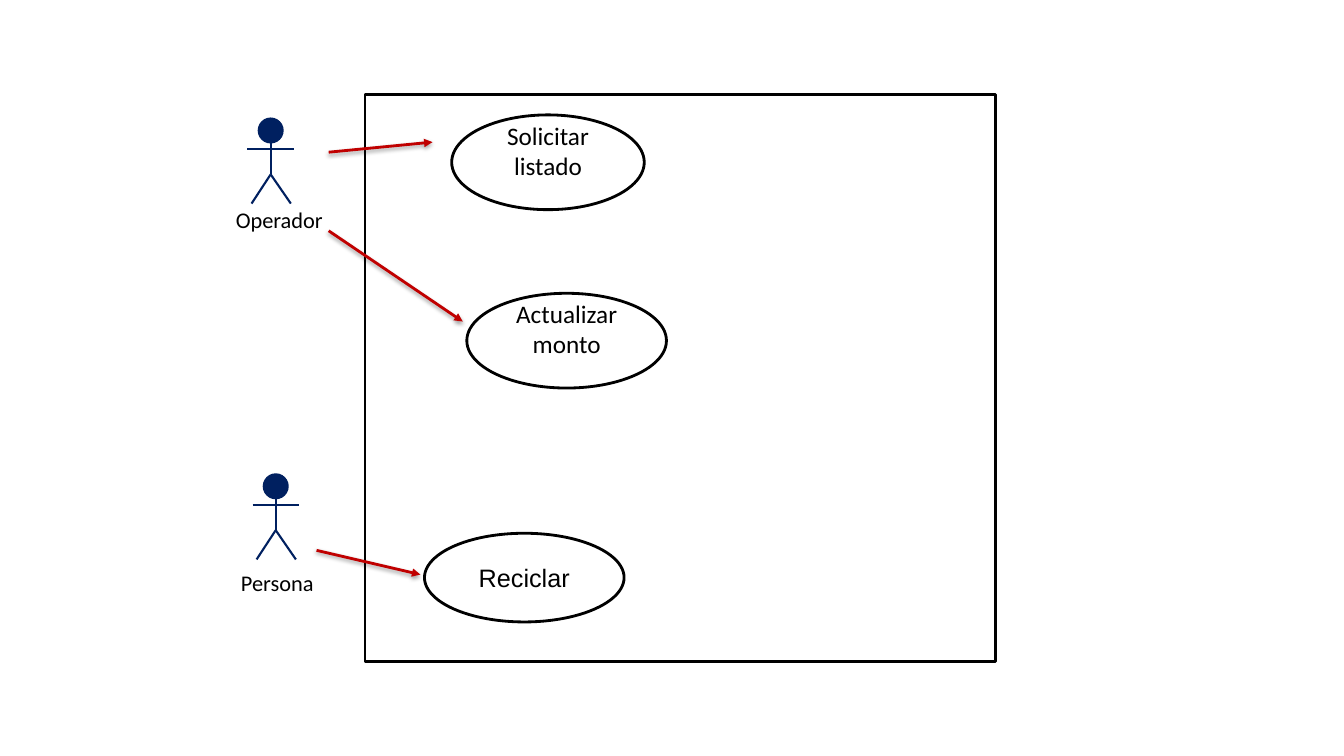
from dataclasses import dataclass

import pptx
import pptx.dml.color
import pptx.enum.shapes
import pptx.enum.text
import pptx.oxml
import pptx.oxml.ns
import pptx.util
from pptx.util import Inches

BLACK, WHITE, NAVY, RED = "000000", "FFFFFF", "002060", "C00000"
HEAD = 0.23
ARROW_SHADOW = (
    '<a:outerShdw blurRad="39370" dist="20320" dir="5400000" rotWithShape="0">'
    '<a:srgbClr val="000000"><a:alpha val="37000"/></a:srgbClr></a:outerShdw>'
)


@dataclass
class Actor:
    name: str
    head_left: float
    head_top: float
    label_left: float
    label_top: float
    label_width: float


@dataclass
class UseCase:
    name: str
    left: float
    top: float
    width: float
    height: float
    font: str = "Calibri"
    bottom_inset: float = 0.05


@dataclass
class Association:
    start: tuple[float, float]
    end: tuple[float, float]


ACTORS = [
    Actor("Persona", 2.62, 4.71, 2.06, 5.6, 1.38),
    Actor("Operador", 2.57, 1.18, 2.13, 2, 1.28),
]
USE_CASES = [
    UseCase("Actualizar monto", 4.63, 2.91, 1.98, 0.94, bottom_inset=0.29),
    UseCase("Reciclar", 4.21, 5.29, 1.98, 0.88, font="Arial"),
    UseCase("Solicitar listado", 4.48, 1.14, 1.91, 0.94, bottom_inset=0.29),
]
ASSOCIATIONS = [
    Association((3.14, 5.46), (4.17, 5.7)),
    Association((3.26, 1.51), (4.29, 1.41)),
    Association((3.26, 2.29), (4.59, 3.19)),
]


def rgb(value: str) -> pptx.dml.color.RGBColor:
    return pptx.dml.color.RGBColor.from_string(value)


def add_outlined(shapes, kind, left: float, top: float, width: float, height: float,
                 fill: str, line: str):
    shape = shapes.add_shape(kind, Inches(left), Inches(top), Inches(width), Inches(height))
    shape.shadow.inherit = False
    shape.fill.solid()
    shape.fill.fore_color.rgb = rgb(fill)
    shape.line.color.rgb = rgb(line)
    shape.line.width = pptx.util.Pt(2)
    return shape


def add_line(shapes, start: tuple[float, float], end: tuple[float, float],
             color: str, width: float, effect: str = ""):
    line = shapes.add_connector(
        pptx.enum.shapes.MSO_CONNECTOR.STRAIGHT, *map(Inches, (*start, *end)))
    line.line.color.rgb = rgb(color)
    line.line.width = pptx.util.Pt(width)
    namespace = pptx.oxml.ns.nsdecls("a")
    line._element.spPr.append(
        pptx.oxml.parse_xml(f"<a:effectLst {namespace}>{effect}</a:effectLst>"))
    return line


def write_centered(frame, text: str, size: float, font: str) -> None:
    frame.word_wrap = True
    paragraph = frame.paragraphs[0]
    paragraph.text = text
    paragraph.alignment = pptx.enum.text.PP_ALIGN.CENTER
    paragraph.font.size = pptx.util.Pt(size)
    paragraph.font.name = font
    paragraph.font.color.rgb = rgb(BLACK)


def add_actor(slide, actor: Actor) -> None:
    figure = slide.shapes.add_group_shape().shapes
    add_outlined(figure, pptx.enum.shapes.MSO_SHAPE.OVAL, actor.head_left, actor.head_top,
                 HEAD, HEAD, NAVY, NAVY)
    x = actor.head_left + HEAD / 2
    neck = actor.head_top + HEAD
    arms, hip, feet = neck + 0.07, neck + 0.32, neck + 0.61
    for start, end in [
        ((x, neck), (x, hip)),
        ((x - 0.23, arms), (x + 0.23, arms)),
        ((x, hip), (x + 0.2, feet)),
        ((x, hip), (x - 0.19, feet)),
    ]:
        add_line(figure, start, end, NAVY, 1.5)

    label = slide.shapes.add_textbox(
        Inches(actor.label_left), Inches(actor.label_top),
        Inches(actor.label_width), Inches(0.37)).text_frame
    write_centered(label, actor.name, 16, "Calibri")
    label.auto_size = pptx.enum.text.MSO_AUTO_SIZE.SHAPE_TO_FIT_TEXT


def add_use_case(slide, case: UseCase) -> None:
    oval = add_outlined(slide.shapes, pptx.enum.shapes.MSO_SHAPE.OVAL, case.left, case.top,
                        case.width, case.height, WHITE, BLACK)
    frame = oval.text_frame
    frame.vertical_anchor = pptx.enum.text.MSO_ANCHOR.MIDDLE
    frame.margin_bottom = Inches(case.bottom_inset)
    write_centered(frame, case.name, 18, case.font)


def add_association(slide, association: Association) -> None:
    arrow = add_line(slide.shapes, association.start, association.end, RED, 2, ARROW_SHADOW)
    namespace = pptx.oxml.ns.nsdecls("a")
    arrow.line._get_or_add_ln().append(
        pptx.oxml.parse_xml(f'<a:tailEnd {namespace} type="triangle"/>'))


def main() -> None:
    presentation = pptx.Presentation()
    presentation.slide_width = Inches(13.33)
    presentation.slide_height = Inches(7.5)
    slide = presentation.slides.add_slide(presentation.slide_layouts[6])

    add_outlined(slide.shapes, pptx.enum.shapes.MSO_SHAPE.RECTANGLE,
                 3.62, 0.94, 6.25, 5.62, WHITE, BLACK)
    for actor in ACTORS:
        add_actor(slide, actor)
    for case in USE_CASES:
        add_use_case(slide, case)
    for association in ASSOCIATIONS:
        add_association(slide, association)

    presentation.save("out.pptx")


if __name__ == "__main__":
    main()
